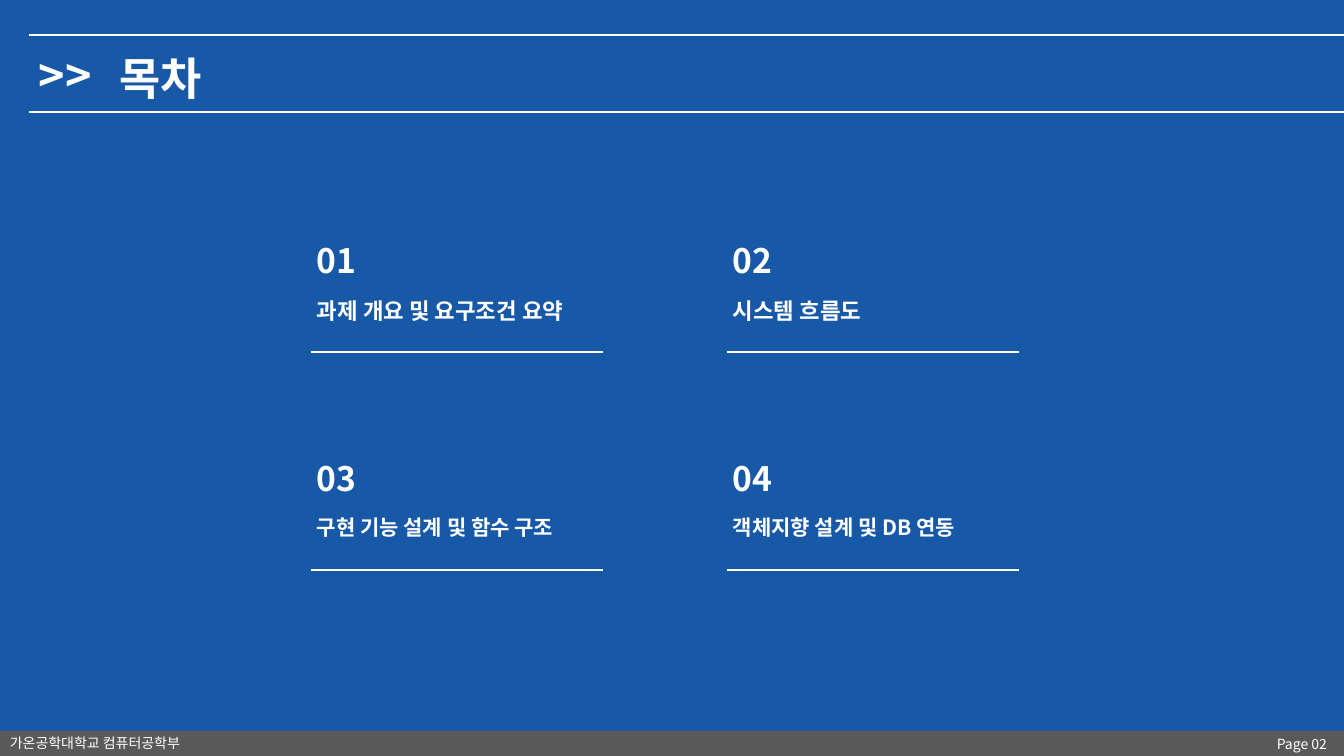
from lxml import etree
from pptx import Presentation
from pptx import util as u
from pptx.dml.color import RGBColor
from pptx.enum import shapes, text
from pptx.oxml.ns import qn

EMU_PER_PX = 914400 / 100.8
FONT = "Noto Sans CJK KR"
COLORS = {"background": "1758A7", "footer": "595959", "white": "FFFFFF"}
TOPICS = [
    ("01", "과제 개요 및 요구조건 요약", 16),
    ("02", "시스템 흐름도", 16),
    ("03", "구현 기능 설계 및 함수 구조", 15),
    ("04", "객체지향 설계 및 DB 연동", 15),
]


def px(length):
    """Turn pixels into EMU."""
    return u.Emu(round(length * EMU_PER_PX))


def color(name):
    """Look up a colour by its role."""
    return RGBColor.from_string(COLORS[name])


def write(holder, wording, size, bold=True, wrap=True):
    """Put white, top-left text into a shape."""
    frame = holder.text_frame
    frame.text = wording
    frame.word_wrap = wrap
    frame.auto_size = text.MSO_AUTO_SIZE.NONE
    frame.vertical_anchor = text.MSO_ANCHOR.TOP
    paragraph = frame.paragraphs[0]
    paragraph.alignment = text.PP_ALIGN.LEFT
    run = paragraph.runs[0]
    run.font.size = u.Pt(size)
    run.font.bold = bold
    run.font.name = FONT
    run.font.color.rgb = color("white")
    east_asian = etree.SubElement(run._r.get_or_add_rPr(), qn("a:ea"))
    east_asian.set("typeface", FONT)


def add_label(slide, box, wording, size, bold=True, wrap=True):
    """Add a text box given left, top, width and height in pixels."""
    label = slide.shapes.add_textbox(*map(px, box))
    write(label, wording, size, bold, wrap)


def add_rule(slide, left, right, top):
    """Add a thin white horizontal line."""
    rule = slide.shapes.add_connector(
        shapes.MSO_CONNECTOR.STRAIGHT, px(left), px(top), px(right), px(top))
    rule.line.color.rgb = color("white")
    rule.line.width = u.Pt(1)
    etree.SubElement(rule._element.spPr, qn("a:effectLst"))


def add_heading(slide):
    """Add the title between its two rules."""
    for top in (35, 112):
        add_rule(slide, 29, 1344, top)
    add_label(slide, (29, 43, 80, 65), ">>", 32, wrap=False)
    title = slide.shapes.title
    title.left, title.top, title.width, title.height = map(px, (109, 46, 111, 65))
    write(title, "목차", 32, wrap=False)


def add_topic(slide, left, top, number, name, size):
    """Add one numbered contents entry with its rule."""
    add_label(slide, (left, top, 94, 50), number, 24)
    add_label(slide, (left, top + 57, 370, 37), name, size)
    add_rule(slide, left + 4, left + 296, top + 117)


def add_footer(slide):
    """Add the footer bar with the department and page number."""
    bar = slide.shapes.add_shape(
        shapes.MSO_SHAPE.RECTANGLE, *map(px, (0, 731, 1344, 25)))
    bar.shadow.inherit = False
    bar.fill.solid()
    bar.fill.fore_color.rgb = color("footer")
    bar.line.fill.background()
    add_label(slide, (0, 730, 215, 27), "가온공학대학교 컴퓨터공학부", 10, bold=False)
    add_label(slide, (1267, 731, 77, 27), "Page 02", 10, bold=False)


def main():
    """Build the contents slide and save it."""
    deck = Presentation()
    deck.slide_width, deck.slide_height = px(1344), px(756)
    slide = deck.slides.add_slide(deck.slide_layouts[5])
    slide.background.fill.solid()
    slide.background.fill.fore_color.rgb = color("background")
    add_heading(slide)
    for index, topic in enumerate(TOPICS):
        row, column = divmod(index, 2)
        add_topic(slide, 307 + 416 * column, 235 + 218 * row, *topic)
    add_footer(slide)
    deck.save("out.pptx")


if __name__ == "__main__":
    main()
